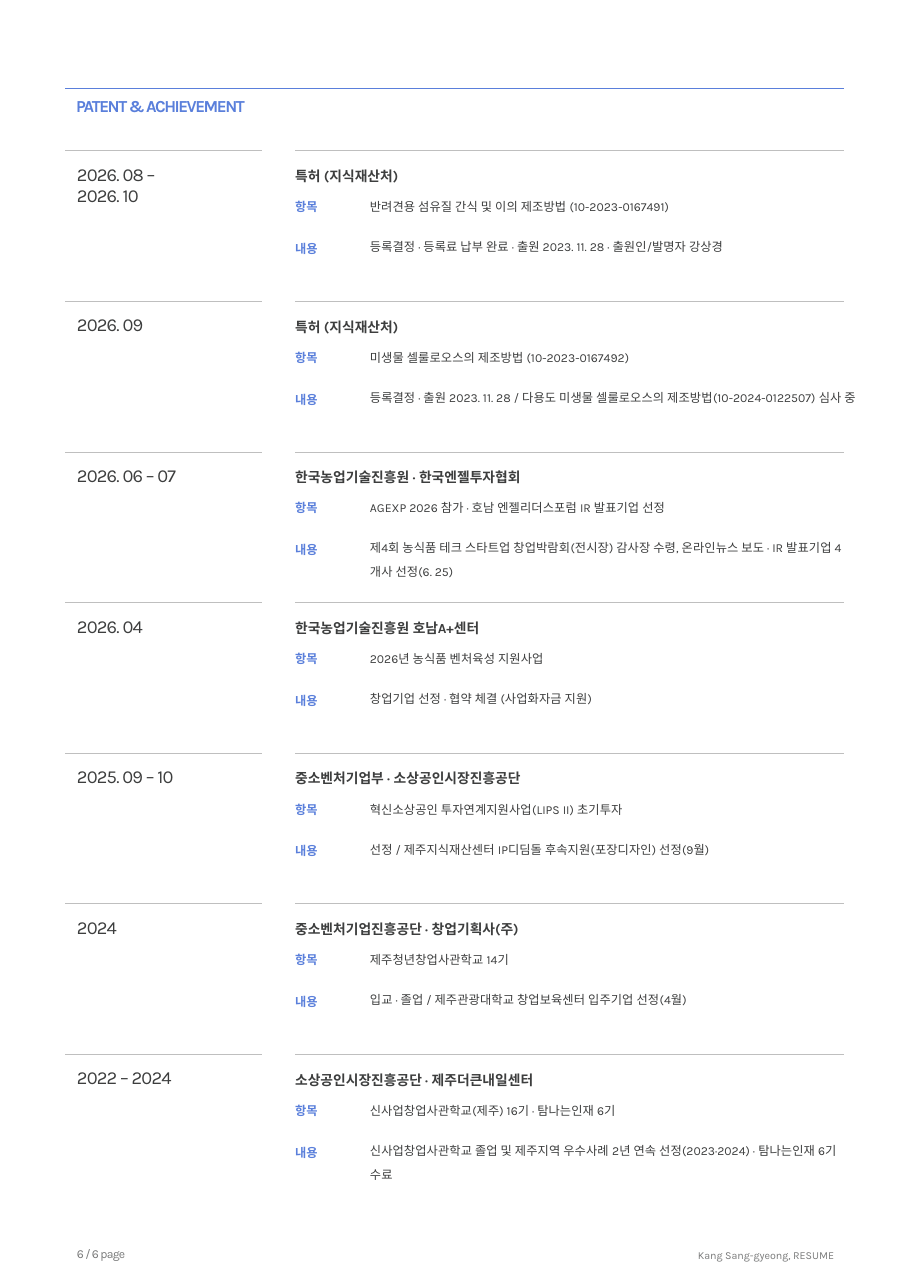
from dataclasses import dataclass

from lxml.etree import SubElement
from pptx import Presentation
from pptx.dml.color import RGBColor
from pptx.enum.shapes import MSO_CONNECTOR
from pptx.enum.text import MSO_ANCHOR, MSO_AUTO_SIZE, PP_ALIGN
from pptx.oxml.ns import qn
from pptx.shapes.autoshape import Shape
from pptx.slide import Slide
from pptx.util import Pt

COLORS = {"accent": "5A7FDB", "body": "3D3E3E", "footer": "7B7C7C", "rule": "BFBFBF"}
FONT = "Karla"
PAGE_WIDTH, PAGE_HEIGHT = 595.44, 841.68
LEFT_EDGE, DATE_END, CONTENT_START, RIGHT_EDGE = 42.5, 171.4, 193, 551.5
DATE_LEFT, HEADING_LEFT, VALUE_LEFT = 43.2, 185.8, 234.7
ENTRY_PITCH = 98.4


@dataclass(frozen=True)
class TextStyle:
    size: float
    color: str
    line_spacing: float | None = None
    bold: bool = False
    tracking: float = 0
    align: PP_ALIGN = PP_ALIGN.LEFT


@dataclass(frozen=True)
class Entry:
    date: str
    issuer: str
    item: str
    detail: str


SECTION = TextStyle(11, "accent", bold=True, tracking=-1)
DATE = TextStyle(12, "body", 13.6, tracking=-0.5)
ISSUER = TextStyle(9, "body", 17.6, bold=True)
LABEL = TextStyle(8, "accent", 17.6, bold=True)
ITEM = TextStyle(8, "body", 17.6)
DETAIL = TextStyle(8, "body", 15.6)
PAGE_NUMBER = TextStyle(8, "footer", 13.6, tracking=-0.5)
OWNER = TextStyle(7, "footer", 13.6, align=PP_ALIGN.RIGHT)

ENTRIES = [
    Entry("2026. 08 –\n2026. 10", "특허 (지식재산처)",
          "반려견용 섬유질 간식 및 이의 제조방법 (10-2023-0167491)",
          "등록결정 · 등록료 납부 완료 · 출원 2023. 11. 28 · 출원인/발명자 강상경"),
    Entry("2026. 09", "특허 (지식재산처)",
          "미생물 셀룰로오스의 제조방법 (10-2023-0167492)",
          "등록결정 · 출원 2023. 11. 28 / 다용도 미생물 셀룰로오스의 제조방법(10-2024-0122507) 심사 중"),
    Entry("2026. 06 – 07", "한국농업기술진흥원 · 한국엔젤투자협회",
          "AGEXP 2026 참가 · 호남 엔젤리더스포럼 IR 발표기업 선정",
          "제4회 농식품 테크 스타트업 창업박람회(전시장) 감사장 수령, 온라인뉴스 보도 · IR 발표기업 4개사 선정(6. 25)"),
    Entry("2026. 04", "한국농업기술진흥원 호남A+센터",
          "2026년 농식품 벤처육성 지원사업",
          "창업기업 선정 · 협약 체결 (사업화자금 지원)"),
    Entry("2025. 09 – 10", "중소벤처기업부 · 소상공인시장진흥공단",
          "혁신소상공인 투자연계지원사업(LIPS II) 초기투자",
          "선정 / 제주지식재산센터 IP디딤돌 후속지원(포장디자인) 선정(9월)"),
    Entry("2024", "중소벤처기업진흥공단 · 창업기획사(주)",
          "제주청년창업사관학교 14기",
          "입교 · 졸업 / 제주관광대학교 창업보육센터 입주기업 선정(4월)"),
    Entry("2022 – 2024", "소상공인시장진흥공단 · 제주더큰내일센터",
          "신사업창업사관학교(제주) 16기 · 탐나는인재 6기",
          "신사업창업사관학교 졸업 및 제주지역 우수사례 2년 연속 선정(2023·2024) · 탐나는인재 6기 수료"),
]


def write_text(box: Shape, text: str, style: TextStyle) -> None:
    frame = box.text_frame
    frame.text = text
    frame.word_wrap = True
    frame.auto_size = MSO_AUTO_SIZE.SHAPE_TO_FIT_TEXT
    frame.vertical_anchor = MSO_ANCHOR.TOP
    for paragraph in frame.paragraphs:
        paragraph.alignment = style.align
        if style.line_spacing:
            paragraph.line_spacing = Pt(style.line_spacing)
        for run in paragraph.runs:
            run.font.size = Pt(style.size)
            run.font.bold = style.bold
            run.font.color.rgb = RGBColor.from_string(COLORS[style.color])
            run.font.name = FONT
            properties = run.font._element
            SubElement(properties, qn("a:ea")).set("typeface", FONT)
            if style.tracking:
                properties.set("spc", str(int(style.tracking * 100)))


def add_text(slide: Slide, left: float, top: float, width: float, height: float,
             text: str, style: TextStyle) -> None:
    box = slide.shapes.add_textbox(Pt(left), Pt(top), Pt(width), Pt(height))
    write_text(box, text, style)


def add_rule(slide: Slide, start: float, end: float, y: float,
             color: str, width: float) -> None:
    rule = slide.shapes.add_connector(
        MSO_CONNECTOR.STRAIGHT, Pt(start), Pt(y), Pt(end), Pt(y))
    rule.line.color.rgb = RGBColor.from_string(COLORS[color])
    rule.line.width = Pt(width)
    SubElement(rule._element.spPr, qn("a:effectLst"))


def add_entry(slide: Slide, entry: Entry, top: float) -> None:
    add_rule(slide, LEFT_EDGE, DATE_END, top, "rule", 0.15)
    add_rule(slide, CONTENT_START, RIGHT_EDGE, top, "rule", 0.15)
    add_text(slide, DATE_LEFT, top + 5.4, 99.4, 36, entry.date, DATE)
    add_text(slide, HEADING_LEFT, top + 1, 362.2, 23.8, entry.issuer, ISSUER)
    add_text(slide, HEADING_LEFT, top + 20.4, 49, 23, "항목", LABEL)
    add_text(slide, VALUE_LEFT, top + 20.4, 374.4, 23, entry.item, ITEM)
    add_text(slide, HEADING_LEFT, top + 47.8, 49, 23, "내용", LABEL)
    add_text(slide, VALUE_LEFT, top + 48.6, 331.9, 54, entry.detail, DETAIL)


def main() -> None:
    presentation = Presentation()
    presentation.slide_width = Pt(PAGE_WIDTH)
    presentation.slide_height = Pt(PAGE_HEIGHT)
    slide = presentation.slides.add_slide(presentation.slide_layouts[5])

    add_rule(slide, LEFT_EDGE, RIGHT_EDGE, 57.6, "accent", 0.25)
    section = slide.shapes.title
    section.left, section.top = Pt(LEFT_EDGE), Pt(59)
    section.width, section.height = Pt(314.6), Pt(20.9)
    write_text(section, "PATENT & ACHIEVEMENT", SECTION)

    for position, entry in enumerate(ENTRIES, start=1):
        add_entry(slide, entry, position * ENTRY_PITCH)

    add_text(slide, DATE_LEFT, 807.1, 99.4, 20.2, "6 / 6 page", PAGE_NUMBER)
    add_text(slide, 378.7, 807.1, 173.5, 20.2, "Kang Sang-gyeong, RESUME", OWNER)
    presentation.save("out.pptx")


if __name__ == "__main__":
    main()
